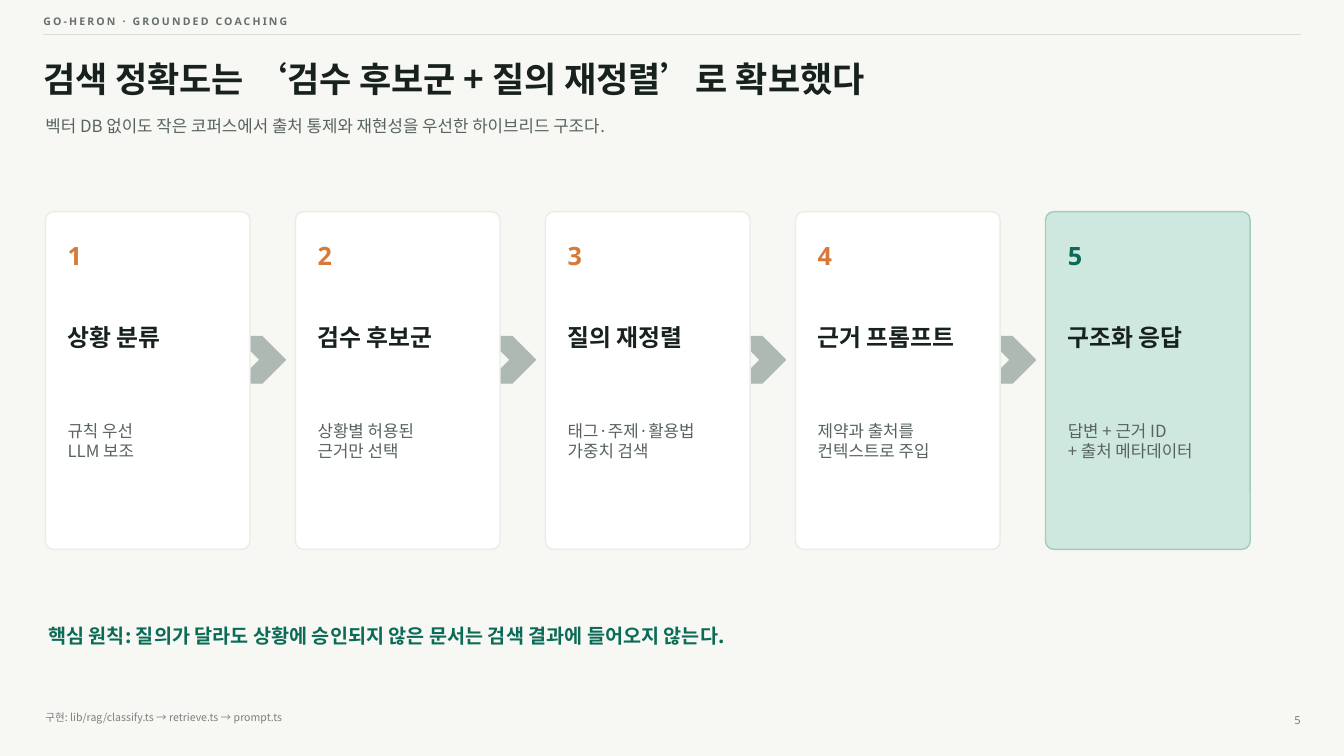
from lxml import etree
from pptx import Presentation
from pptx.dml.color import RGBColor
from pptx.enum.shapes import MSO_CONNECTOR, MSO_SHAPE
from pptx.enum.text import MSO_ANCHOR, PP_ALIGN
from pptx.oxml.ns import qn
from pptx.util import Inches, Pt

LATIN, KOREAN = "Noto Sans", "Noto Sans CJK KR"
PAPER = RGBColor(0xF7, 0xF7, 0xF3)
WHITE = RGBColor(0xFF, 0xFF, 0xFF)
INK = RGBColor(0x17, 0x21, 0x1D)
BODY = RGBColor(0x58, 0x63, 0x5E)
HEADER = RGBColor(0x65, 0x70, 0x6B)
SOURCE = RGBColor(0x78, 0x81, 0x7D)
PAGE = RGBColor(0x7A, 0x82, 0x7E)
RULE = RGBColor(0xDA, 0xDD, 0xD7)
CARD_EDGE = RGBColor(0xE9, 0xEC, 0xE7)
ARROW = RGBColor(0xAE, 0xB9, 0xB4)
ORANGE = RGBColor(0xD6, 0x7A, 0x39)
GREEN = RGBColor(0x0B, 0x6B, 0x57)
MINT = RGBColor(0xCF, 0xE8, 0xDF)
MINT_EDGE = RGBColor(0xA2, 0xCD, 0xBD)

prs = Presentation()
prs.slide_width, prs.slide_height = Inches(13.33), Inches(7.5)
slide = prs.slides.add_slide(prs.slide_layouts[5])
slide.background.fill.solid()
slide.background.fill.fore_color.rgb = PAPER


def write(box, lines, size, color, font=KOREAN, bold=False, spacing=0,
          align=PP_ALIGN.LEFT, anchor=MSO_ANCHOR.MIDDLE, box_shape=None):
    """Put lines of text in a box (left, top, width, height), or in box_shape."""
    left, top, width, height = map(Inches, box)
    shape = box_shape or slide.shapes.add_textbox(left, top, width, height)
    shape.left, shape.top, shape.width, shape.height = left, top, width, height
    frame = shape.text_frame
    frame.word_wrap = True
    frame.vertical_anchor = anchor
    frame.margin_left = frame.margin_right = frame.margin_top = frame.margin_bottom = 0
    frame.text = lines
    for paragraph in frame.paragraphs:
        paragraph.alignment = align
        run = paragraph.runs[0]
        run.font.size, run.font.bold, run.font.name = Pt(size), bold, font
        run.font.color.rgb = color
        properties = run._r.get_or_add_rPr()
        etree.SubElement(properties, qn("a:ea")).set("typeface", font)
        if spacing:
            properties.set("spc", str(int(spacing * 100)))


def draw(kind, box, fill, edge):
    """Add a filled preset shape with a 1 pt edge and no shadow."""
    shape = slide.shapes.add_shape(kind, *map(Inches, box))
    shape.shadow.inherit = False
    shape.fill.solid()
    shape.fill.fore_color.rgb = fill
    shape.line.color.rgb = edge
    shape.line.width = Pt(1)
    return shape


# Header
rule = slide.shapes.add_connector(MSO_CONNECTOR.STRAIGHT, Inches(0.43), Inches(0.34),
                                  Inches(12.9), Inches(0.34))
rule.line.color.rgb = RULE
rule.line.width = Pt(1)
etree.SubElement(rule._element.spPr, qn("a:effectLst"))
write((0.43, 0.12, 4.5, 0.18), "GO-HERON · GROUNDED COACHING", 7.5, HEADER,
      font=LATIN, bold=True, spacing=1.5)
write((0.43, 0.53, 11.95, 0.5), "검색 정확도는 ‘검수 후보군 + 질의 재정렬’로 확보했다", 25, INK,
      bold=True, box_shape=slide.shapes.title)
write((0.45, 1.08, 11.8, 0.34),
      "벡터 DB 없이도 작은 코퍼스에서 출처 통제와 재현성을 우선한 하이브리드 구조다.", 12, BODY)

# Pipeline
steps = [
    ("상황 분류", "규칙 우선\nLLM 보조"),
    ("검수 후보군", "상황별 허용된\n근거만 선택"),
    ("질의 재정렬", "태그·주제·활용법\n가중치 검색"),
    ("근거 프롬프트", "제약과 출처를\n컨텍스트로 주입"),
    ("구조화 응답", "답변 + 근거 ID\n+ 출처 메타데이터"),
]
FIRST_LEFT, PITCH = 0.45, 2.48

# Chevrons go first so that the cards cover their tails
for i in range(len(steps) - 1):
    draw(MSO_SHAPE.CHEVRON, (FIRST_LEFT + 1.9 + i * PITCH, 3.34, 0.48, 0.46), ARROW, ARROW)

for i, (name, detail) in enumerate(steps):
    last = i == len(steps) - 1
    left = FIRST_LEFT + i * PITCH
    card = draw(MSO_SHAPE.ROUNDED_RECTANGLE, (left, 2.1, 2.03, 3.35),
                MINT if last else WHITE, MINT_EDGE if last else CARD_EDGE)
    card.adjustments[0] = 0.04
    text_left = left + 0.22
    write((text_left, 2.32, 0.42, 0.42), str(i + 1), 18, GREEN if last else ORANGE,
          font=LATIN, bold=True)
    write((text_left, 3.02, 1.6, 0.65), name, 17, INK, bold=True)
    write((text_left, 3.92, 1.62, 0.9), detail, 12, BODY)

# Principle and footer
write((0.48, 6.1, 11.8, 0.42),
      "핵심 원칙: 질의가 달라도 상황에 승인되지 않은 문서는 검색 결과에 들어오지 않는다.",
      14, GREEN, bold=True)
write((0.45, 7.02, 10.7, 0.2), "구현: lib/rag/classify.ts → retrieve.ts → prompt.ts", 7.5, SOURCE)
write((12.55, 7.08, 0.35, 0.18), "5", 8, PAGE, font=LATIN,
      align=PP_ALIGN.RIGHT, anchor=MSO_ANCHOR.TOP)

prs.save("out.pptx")
